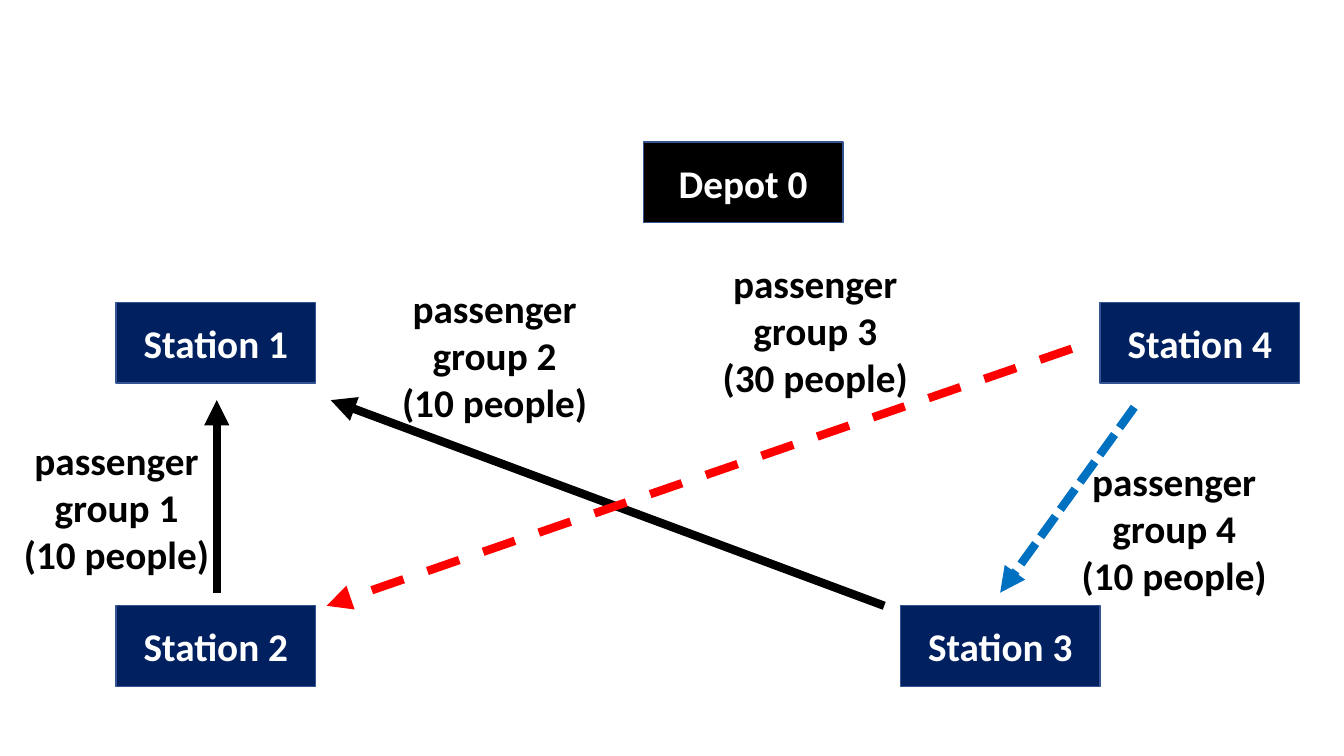
from dataclasses import dataclass

import pptx
import pptx.dml.color
import pptx.enum.dml
import pptx.enum.shapes
import pptx.enum.text
import pptx.oxml
import pptx.oxml.ns
import pptx.util

Inches = pptx.util.Inches
Pt = pptx.util.Pt
Dash = pptx.enum.dml.MSO_LINE


@dataclass(frozen=True)
class Theme:
    font: str = "Calibri"
    text_size: int = 28
    route_width: int = 6
    border_width: int = 1
    station: str = "002060"
    border: str = "325491"
    black: str = "000000"
    white: str = "FFFFFF"
    red: str = "FF0000"
    blue: str = "0070C0"


THEME = Theme()
STOP_SIZE = (1.98, 0.8)
LABEL_SIZE = (2.51, 1.51)
WEST, EAST = 1.15, 10.91
UPPER, LOWER = 3, 6.01

STOPS = [
    ("Depot 0", 6.38, 1.41, THEME.black),
    ("Station 1", WEST, UPPER, THEME.station),
    ("Station 2", WEST, LOWER, THEME.station),
    ("Station 3", EAST - STOP_SIZE[0], LOWER, THEME.station),
    ("Station 4", EAST, UPPER, THEME.station),
]
GROUPS = [
    (1, 10, (-0.1, 4.28), (2.15, 5.88), (2.15, 3.97), THEME.black, None),
    (2, 10, (3.65, 2.77), (8.77, LOWER), (3.28, 3.97), THEME.black, None),
    (3, 30, (6.83, 2.52), (10.63, 3.46), (3.24, LOWER), THEME.red, Dash.DASH),
    (4, 10, (10.39, 4.49), (11.25, 4.04), (9.92, 5.88), THEME.blue, Dash.SQUARE_DOT),
]


def rgb(color):
    return pptx.dml.color.RGBColor.from_string(color)


def write_lines(frame, lines, color):
    frame.word_wrap = True
    frame.text = "\n".join(lines)
    for paragraph in frame.paragraphs:
        paragraph.alignment = pptx.enum.text.PP_ALIGN.CENTER
        paragraph.font.name = THEME.font
        paragraph.font.size = Pt(THEME.text_size)
        paragraph.font.bold = True
        paragraph.font.color.rgb = rgb(color)


def draw_stop(slide, box, name, fill):
    stop = slide.shapes.add_shape(
        pptx.enum.shapes.MSO_SHAPE.RECTANGLE, *map(Inches, box))
    stop.shadow.inherit = False
    stop.fill.solid()
    stop.fill.fore_color.rgb = rgb(fill)
    stop.line.color.rgb = rgb(THEME.border)
    stop.line.width = Pt(THEME.border_width)
    stop.text_frame.vertical_anchor = pptx.enum.text.MSO_ANCHOR.MIDDLE
    write_lines(stop.text_frame, [name], THEME.white)


def draw_label(slide, box, number, people):
    label = slide.shapes.add_textbox(*map(Inches, box))
    lines = [f"passenger group {number}", f"({people} people)"]
    write_lines(label.text_frame, lines, THEME.black)
    label.text_frame.auto_size = pptx.enum.text.MSO_AUTO_SIZE.SHAPE_TO_FIT_TEXT


def draw_route(slide, start, end, color, dash):
    route = slide.shapes.add_connector(
        pptx.enum.shapes.MSO_CONNECTOR.STRAIGHT, *map(Inches, start + end))
    route.line.color.rgb = rgb(color)
    route.line.width = Pt(THEME.route_width)
    if dash is not None:
        route.line.dash_style = dash
    arrowhead = pptx.oxml.parse_xml(
        f'<a:tailEnd {pptx.oxml.ns.nsdecls("a")} type="triangle"/>')
    route.line._get_or_add_ln().append(arrowhead)
    no_effects = pptx.oxml.parse_xml(
        f'<a:effectLst {pptx.oxml.ns.nsdecls("a")}/>')
    route._element.spPr.append(no_effects)


def draw_network(slide, left, top):
    def place(point):
        return left + point[0], top + point[1]

    for number, people, corner, *_ in GROUPS:
        draw_label(slide, place(corner) + LABEL_SIZE, number, people)
    for name, x, y, fill in STOPS:
        draw_stop(slide, place((x, y)) + STOP_SIZE, name, fill)
    for _, _, _, start, end, color, dash in GROUPS:
        draw_route(slide, place(start), place(end), color, dash)


def main():
    deck = pptx.Presentation()
    deck.slide_width = Inches(13.33)
    deck.slide_height = Inches(7.5)
    slide = deck.slides.add_slide(deck.slide_layouts.get_by_name("Blank"))
    draw_network(slide, 0, 0)
    deck.save("out.pptx")


if __name__ == "__main__":
    main()
